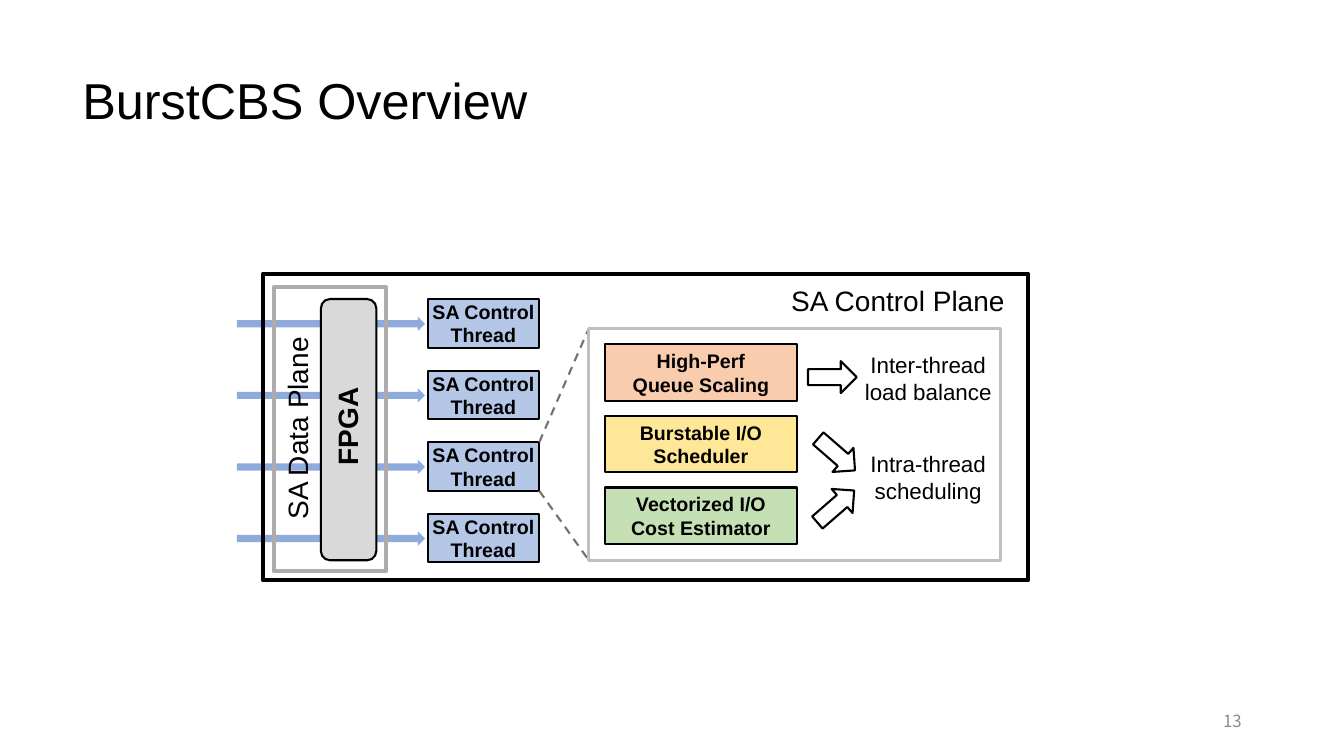
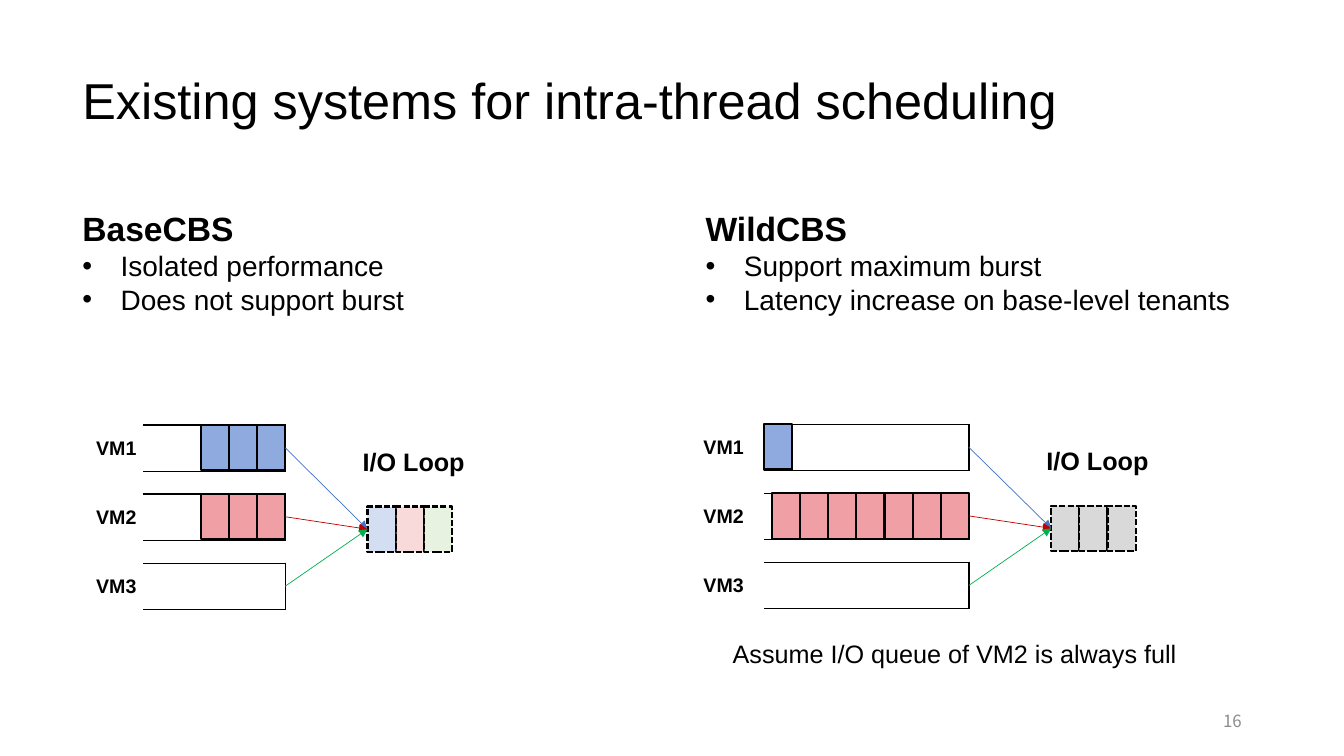
import dataclasses

import lxml.etree
import pptx
import pptx.dml.color
import pptx.enum.dml
import pptx.enum.shapes
import pptx.enum.text
import pptx.oxml.ns
import pptx.util

Pt = pptx.util.Pt
Shape = pptx.enum.shapes.MSO_SHAPE
Align = pptx.enum.text.PP_ALIGN
Anchor = pptx.enum.text.MSO_ANCHOR
Dash = pptx.enum.dml.MSO_LINE
qn = pptx.oxml.ns.qn

COLUMNS, ROWS = 160, 90
CELL = pptx.util.Inches(1) // 12
TITLE_ONLY, TWO_CONTENT = 5, 3


@dataclasses.dataclass(frozen=True)
class Theme:
    font: str = "Arial"
    number_font: str = "Noto Sans CJK SC"
    ink: str = "000000"
    paper: str = "FFFFFF"
    number: str = "8C8C8C"
    flow: str = "8FAADD"
    fpga: str = "D9D9D9"
    data_frame: str = "AFABAB"
    design_frame: str = "BFBFBF"
    zoom: str = "767171"
    thread: str = "B5C7E7"
    scaling: str = "F9CCAD"
    scheduler: str = "FFE798"
    estimator: str = "C5E0B4"
    vm1: str = "8FAADE"
    vm2: str = "F0A0A4"
    vm3: str = "C5E0B3"
    routes: tuple = ("4472C4", "C00000", "00B050")
    title_pt: int = 36
    heading_pt: int = 24
    body_pt: int = 20
    note_pt: int = 18
    outcome_pt: int = 16
    label_pt: int = 14
    number_pt: int = 12
    frame_line: float = 3
    design_line: float = 2.25
    line: float = 1.5
    border: float = 1
    route_line: float = 0.5


THEME = Theme()


@dataclasses.dataclass(frozen=True)
class Box:
    """A region in grid cells."""
    x: float
    y: float
    w: float
    h: float

    def inner(self, x, y, w, h):
        """Box whose x and y are counted from this box's corner."""
        return Box(self.x + x, self.y + y, w, h)

    def emu(self):
        return [round(v * CELL) for v in (self.x, self.y, self.w, self.h)]


def rgb(color):
    return pptx.dml.color.RGBColor.from_string(color)


def add_run(paragraph, words, size, bold=False, color=THEME.ink, font=THEME.font):
    run = paragraph.add_run()
    run.text = words
    run.font.size, run.font.bold, run.font.name = Pt(size), bold, font
    run.font.color.rgb = rgb(color)


def write(frame, lines, size, align=Align.CENTER, **style):
    for i, words in enumerate(lines):
        paragraph = frame.add_paragraph() if i else frame.paragraphs[0]
        paragraph.alignment = align
        add_run(paragraph, words, size, **style)


def add_label(slide, box, lines, size, rotation=0, wrap=True, anchor=Anchor.TOP, **style):
    label = slide.shapes.add_textbox(*box.emu())
    label.rotation = rotation
    label.text_frame.word_wrap = wrap
    label.text_frame.vertical_anchor = anchor
    write(label.text_frame, lines, size, **style)


def add_block(slide, box, fill=None, line=THEME.ink, width=THEME.line,
              kind=Shape.RECTANGLE, rotation=0, lines=(), dash=None, alpha=None):
    block = slide.shapes.add_shape(kind, *box.emu())
    block.shadow.inherit = False
    block.rotation = rotation
    if fill:
        block.fill.solid()
        block.fill.fore_color.rgb = rgb(fill)
    else:
        block.fill.background()
    if alpha:
        color = block._element.spPr.find(qn("a:solidFill")).find(qn("a:srgbClr"))
        lxml.etree.SubElement(color, qn("a:alpha")).set("val", str(alpha * 1000))
    if line:
        block.line.color.rgb = rgb(line)
        block.line.width = Pt(width)
        if dash:
            block.line.dash_style = dash
    else:
        block.line.fill.background()
    if lines:
        frame = block.text_frame
        frame.word_wrap = True
        frame.vertical_anchor = Anchor.MIDDLE
        frame.margin_left = frame.margin_right = 0
        frame.margin_top = frame.margin_bottom = 0
        write(frame, lines, THEME.label_pt, bold=True)
    return block


def add_link(slide, start, end, color, width, dash=None, arrow=False):
    points = [round(v * CELL) for v in (*start, *end)]
    link = slide.shapes.add_connector(pptx.enum.shapes.MSO_CONNECTOR.STRAIGHT, *points)
    link.line.color.rgb = rgb(color)
    link.line.width = Pt(width)
    if dash:
        link.line.dash_style = dash
    properties = link._element.spPr
    if arrow:
        head = lxml.etree.SubElement(properties.find(qn("a:ln")), qn("a:tailEnd"))
        head.set("type", "triangle")
    lxml.etree.SubElement(properties, qn("a:effectLst"))
    return link


def add_page(deck, layout, title, number):
    slide = deck.slides.add_slide(deck.slide_layouts[layout])
    heading = slide.shapes.title
    heading.left, heading.top, heading.width, heading.height = Box(8.6, 3.6, 143, 17.4).emu()
    heading.text_frame.vertical_anchor = Anchor.MIDDLE
    write(heading.text_frame, [title], THEME.title_pt, align=Align.LEFT)
    heading.text_frame.paragraphs[0].line_spacing = 0.9
    add_label(slide, Box(113, 83.4, 36, 4.8), [number], THEME.number_pt, align=Align.RIGHT,
              anchor=Anchor.MIDDLE, color=THEME.number, font=THEME.number_font)
    return slide


def draw_design(slide, box, pitch):
    """The techniques inside a control thread, and what they serve."""
    add_block(slide, box, line=THEME.design_frame, width=THEME.design_line)
    techniques = (
        (THEME.scaling, ("High-Perf", "Queue Scaling")),
        (THEME.scheduler, ("Burstable I/O Scheduler",)),
        (THEME.estimator, ("Vectorized I/O", "Cost Estimator")),
    )
    for row, (fill, lines) in enumerate(techniques):
        add_block(slide, box.inner(1.9, 1.9 + row * pitch, 22.9, 6.7), fill, lines=lines)
    for x, y, turn in ((26.1, 3.9, 0), (26.6, 13.1, 41), (26.5, 19.3, 319)):
        add_block(slide, box.inner(x, y, 5.8, 3.8), THEME.paper,
                  kind=Shape.RIGHT_ARROW, rotation=turn)
    outcomes = ((2.1, ("Inter-thread load balance",)),
                (13.9, ("Intra-thread", "scheduling")))
    for y, lines in outcomes:
        add_label(slide, box.inner(31.3, y, 18.2, 7.7), lines, THEME.outcome_pt)


def draw_architecture(slide, box):
    """Data plane, control threads and the zoom into one of them."""
    pitch, zoomed = 8.52, 2
    lanes = [row * pitch for row in range(4)]
    for lane in lanes:
        add_block(slide, box.inner(-3.1, 5.1 + lane, 22.4, 1.7), THEME.flow, line=None,
                  kind=Shape.RIGHT_ARROW)
    add_block(slide, box, width=THEME.frame_line)
    add_block(slide, box.inner(6.9, 3, 6.6, 31.1), THEME.fpga, kind=Shape.ROUNDED_RECTANGLE)
    add_block(slide, box.inner(1.3, 1.6, 13.4, 33.8), line=THEME.data_frame,
              width=THEME.frame_line)
    add_label(slide, box.inner(-8, 15.75, 24.2, 5.3), ["SA Data Plane"], THEME.body_pt,
              rotation=270, wrap=False)
    add_label(slide, box.inner(4.1, 15.5, 11.9, 5.3), ["FPGA"], THEME.body_pt,
              rotation=270, wrap=False, bold=True)
    threads = [box.inner(19.6, 3 + lane, 13.3, 5.8) for lane in lanes]
    for thread in threads:
        add_block(slide, thread, THEME.thread, lines=("SA Control", "Thread"))
    add_label(slide, box.inner(61.7, 0.6, 28.3, 5.3), ["SA Control Plane"], THEME.body_pt,
              align=Align.LEFT)
    design = box.inner(38.8, 6.5, 49, 27.6)
    source = threads[zoomed]
    for share in (0, 1):
        add_link(slide, (source.x + source.w, source.y + share * source.h),
                 (design.x, design.y + share * design.h), THEME.zoom, THEME.line, Dash.DASH)
    draw_design(slide, design, pitch)


def fill_summary(holder, box, system, traits):
    holder.left, holder.top, holder.width, holder.height = box.emu()
    frame = holder.text_frame
    frame.auto_size = pptx.enum.text.MSO_AUTO_SIZE.NONE
    write(frame, [system], THEME.heading_pt, align=Align.LEFT, bold=True)
    for trait in traits:
        add_run(frame.add_paragraph(), trait, THEME.body_pt)
    indent = pptx.util.Inches(0.38)
    for i, paragraph in enumerate(frame.paragraphs):
        paragraph.space_before = Pt(0)
        properties = paragraph._p.get_or_add_pPr()
        properties.set("marL", str(indent if i else 0))
        properties.set("indent", str(-indent if i else 0))
        if i:
            lxml.etree.SubElement(properties, qn("a:buChar")).set("char", "•")
        else:
            lxml.etree.SubElement(properties, qn("a:buNone"))


def add_queue(slide, box):
    """One-cell table whose left side is open."""
    queue = slide.shapes.add_table(1, 1, *box.emu()).table
    queue.first_row = queue.horz_banding = False
    cell = queue.cell(0, 0)
    properties = cell._tc.get_or_add_tcPr()
    for side in "LRTB":
        border = lxml.etree.SubElement(properties, qn("a:ln" + side))
        border.set("w", str(int(Pt(THEME.border))))
        solid = lxml.etree.SubElement(border, qn("a:solidFill"))
        color = THEME.paper if side == "L" else THEME.ink
        lxml.etree.SubElement(solid, qn("a:srgbClr")).set("val", color)
    cell.fill.solid()
    cell.fill.fore_color.rgb = rgb(THEME.paper)


def draw_scheduler(slide, box, gutter, packets, served, alpha=None):
    """Three VM queues feeding the I/O loop.

    packets holds, for each VM, the count and whether they stand at the queue's exit.
    """
    pitch, packet_w, packet_h, gap = 8.22, 3.35, 5.4, 9.8
    queue_w = box.w - gutter - gap - len(served) * packet_w
    loop = box.inner(gutter + queue_w + gap, 9.7, packet_w, packet_h)
    slots = [add_block(slide, loop.inner(i * packet_w, 0, packet_w, packet_h), fill,
                       dash=Dash.SQUARE_DOT, alpha=alpha)
             for i, fill in enumerate(served)]
    add_label(slide, loop.inner(-1.9, -7.8, 14.8, 4.8), ["I/O Loop"], THEME.note_pt,
              wrap=False, bold=True)
    fills = (THEME.vm1, THEME.vm2, THEME.vm3)
    for row, ((count, at_exit), fill, route) in enumerate(zip(packets, fills, THEME.routes)):
        queue = box.inner(gutter, row * pitch, queue_w, 5.5)
        add_queue(slide, queue)
        add_label(slide, box.inner(0, row * pitch + 0.7, 9.5, 4.1), [f"VM{row + 1}"],
                  THEME.label_pt, bold=True)
        first = queue_w - count * packet_w if at_exit else 0
        waiting = [add_block(slide, queue.inner(first + i * packet_w, 0, packet_w, packet_h), fill)
                   for i in range(count)]
        link = add_link(slide, (queue.x + queue.w, queue.y + queue.h / 2),
                        (loop.x, loop.y + loop.h / 2), route, THEME.route_line, arrow=True)
        if waiting and at_exit:
            link.begin_connect(waiting[-1], 3)
        link.end_connect(slots[0], 1)


def build_overview(deck):
    slide = add_page(deck, TITLE_ONLY, "BurstCBS Overview", "13")
    draw_architecture(slide, Box(31.3, 32.6, 91.1, 36.5))


def build_comparison(deck):
    slide = add_page(deck, TWO_CONTENT, "Existing systems for intra-thread scheduling", "16")
    fill_summary(slide.placeholders[1], Box(8.6, 24.2, 62.8, 14.2), "BaseCBS",
                 ("Isolated performance", "Does not support burst"))
    fill_summary(slide.placeholders[2], Box(82.8, 24.2, 66.2, 14.2), "WildCBS",
                 ("Support maximum burst", "Latency increase on base-level tenants"))
    draw_scheduler(slide, Box(9.1, 50.6, 44.7, 22), 7.9,
                   ((3, True), (3, True), (0, True)),
                   (THEME.vm1, THEME.vm2, THEME.vm3), alpha=39)
    draw_scheduler(slide, Box(81.4, 50.5, 53.8, 22), 9.5,
                   ((1, False), (7, True), (0, True)), (THEME.fpga,) * 3)
    add_label(slide, Box(84, 75.4, 59.3, 4.8), ["Assume I/O queue of VM2 is always full"],
              THEME.note_pt)


def main():
    deck = pptx.Presentation()
    deck.slide_width, deck.slide_height = COLUMNS * CELL, ROWS * CELL
    build_overview(deck)
    build_comparison(deck)
    deck.save("out.pptx")


if __name__ == "__main__":
    main()
